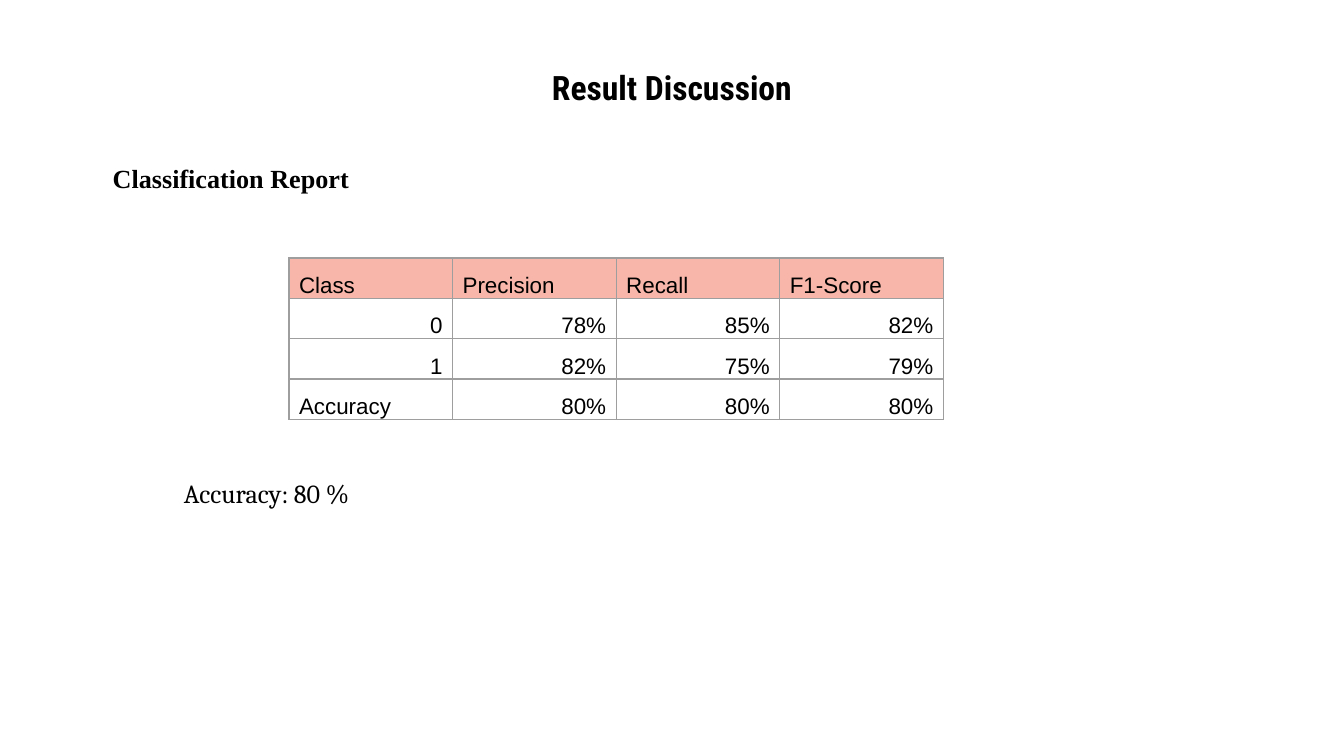
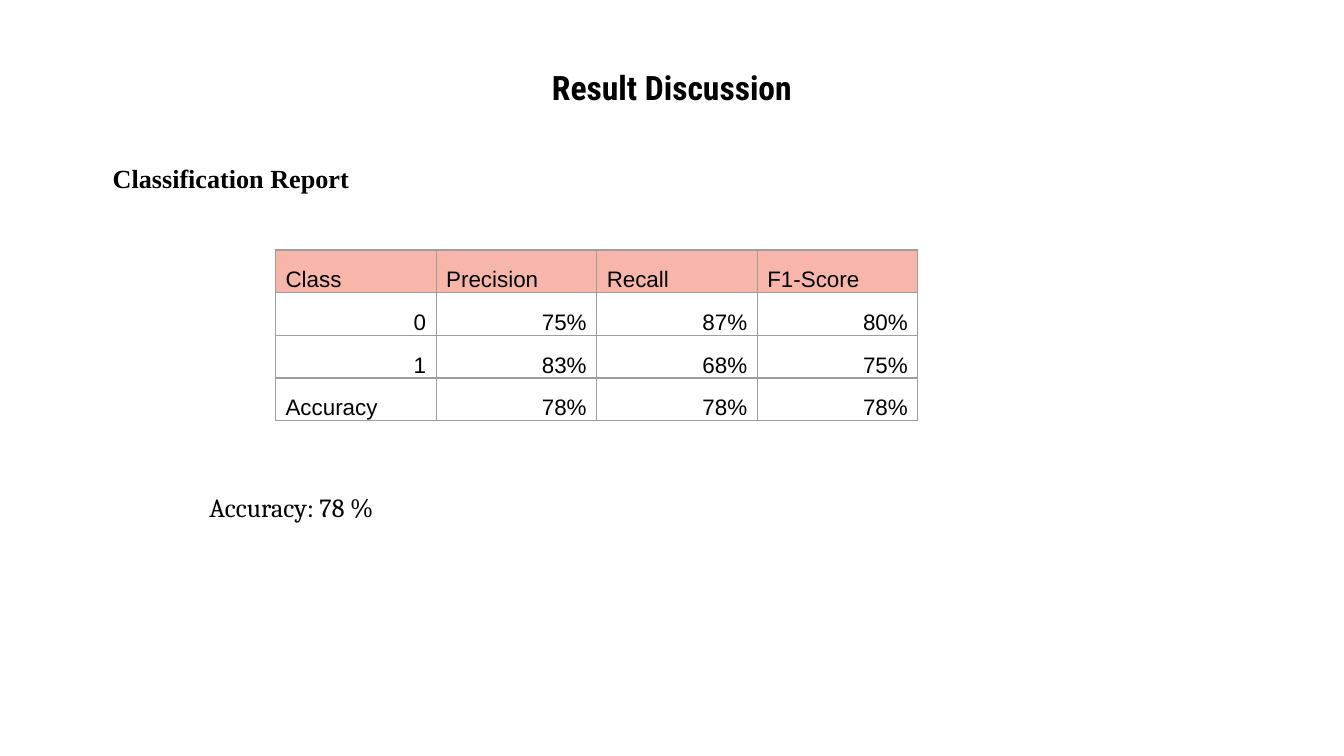
"""Build two slides that report classification results as tables."""
from dataclasses import dataclass

from lxml import etree
from pptx import Presentation
from pptx.dml.color import RGBColor
from pptx.enum.text import MSO_ANCHOR, MSO_AUTO_SIZE, PP_ALIGN
from pptx.oxml.ns import qn
from pptx.util import Pt

LEFT, CENTER, RIGHT = PP_ALIGN.LEFT, PP_ALIGN.CENTER, PP_ALIGN.RIGHT
TOP, MIDDLE, BOTTOM = MSO_ANCHOR.TOP, MSO_ANCHOR.MIDDLE, MSO_ANCHOR.BOTTOM
GROW, FIXED = MSO_AUTO_SIZE.SHAPE_TO_FIT_TEXT, MSO_AUTO_SIZE.NONE

EMU_PER_PX = 4572
SLIDE_SIZE = (2000, 1125)
BLANK_LAYOUT = 6
HEADERS = ("Class", "Precision", "Recall", "F1-Score")


@dataclass(frozen=True)
class TextStyle:
    """Typeface, size in points and weight of a piece of text."""
    font: str
    size: int
    bold: bool = False


@dataclass(frozen=True)
class Theme:
    """Colours and type styles shared by the slides."""
    background: str = "FFFFFF"
    text: str = "000000"
    header_fill: str = "F7B6A9"
    border: str = "9E9E9E"
    border_points: float = 0.75
    title: TextStyle = TextStyle("Roboto Condensed", 18, True)
    heading: TextStyle = TextStyle("Times New Roman", 14, True)
    summary: TextStyle = TextStyle("Cambria", 14)
    table: TextStyle = TextStyle("Arial", 12)


@dataclass(frozen=True)
class Report:
    """Scores of one model with the places of its table and summary."""
    rows: tuple
    table_box: tuple
    summary: str
    summary_box: tuple


THEME = Theme()
REPORTS = (
    Report(
        (("0", "78%", "85%", "82%"),
         ("1", "82%", "75%", "79%"),
         ("Accuracy", "80%", "80%", "80%")),
        (430, 384, 974, 240), "Accuracy: 80 %", (254, 701, 300, 114)),
    Report(
        (("0", "75%", "87%", "80%"),
         ("1", "83%", "68%", "75%"),
         ("Accuracy", "78%", "78%", "78%")),
        (410, 372, 956, 254), "Accuracy: 78 %", (292, 722, 300, 114)),
)


def px(length):
    """Turn a length in px into EMU."""
    return length * EMU_PER_PX


def scale(box):
    """Turn a box of px into EMU."""
    return [px(length) for length in box]


def format_paragraph(paragraph, style, align=LEFT, line_spacing=1.0):
    """Apply a text style, alignment and line spacing to a paragraph."""
    paragraph.alignment = align
    paragraph.line_spacing = line_spacing
    for run in paragraph.runs:
        run.font.name = style.font
        run.font.size = Pt(style.size)
        run.font.bold = style.bold
        run.font.color.rgb = RGBColor.from_string(THEME.text)


def add_text(slide, text, box, style):
    """Add a growing text box and return its text frame."""
    text_frame = slide.shapes.add_textbox(*scale(box)).text_frame
    text_frame.word_wrap = True
    text_frame.auto_size = GROW
    text_frame.vertical_anchor = TOP
    text_frame.text = text
    format_paragraph(text_frame.paragraphs[0], style)
    return text_frame


def add_title(slide, text):
    """Add the centred slide title."""
    text_frame = add_text(slide, text, (100, 92, 1800, 82), THEME.title)
    text_frame.auto_size = FIXED
    text_frame.vertical_anchor = MIDDLE
    text_frame.margin_top = text_frame.margin_bottom = px(20)
    text_frame.margin_left = text_frame.margin_right = px(20)
    format_paragraph(text_frame.paragraphs[0], THEME.title, CENTER, 0.9)


def add_borders(cell):
    """Draw a thin line on each side of a table cell."""
    properties = cell._tc.get_or_add_tcPr()
    for side in ("lnL", "lnR", "lnT", "lnB"):
        line = etree.SubElement(properties, qn(f"a:{side}"),
                                w=str(Pt(THEME.border_points)))
        fill = etree.SubElement(line, qn("a:solidFill"))
        etree.SubElement(fill, qn("a:srgbClr"), val=THEME.border)


def fill_cell(cell, text, is_header):
    """Write and format one table cell."""
    cell.text = text
    cell.vertical_anchor = BOTTOM
    cell.margin_left = cell.margin_right = px(15)
    cell.margin_top = cell.margin_bottom = 0
    align = RIGHT if text[0].isdigit() else LEFT
    format_paragraph(cell.text_frame.paragraphs[0], THEME.table, align, 1.07)
    add_borders(cell)
    if is_header:
        cell.fill.solid()
        cell.fill.fore_color.rgb = RGBColor.from_string(THEME.header_fill)
    else:
        cell.fill.background()


def add_score_table(slide, rows, box):
    """Add the table of scores under its header row."""
    contents = (HEADERS, *rows)
    table = slide.shapes.add_table(
        len(contents), len(HEADERS), *scale(box)).table
    table.first_row = table.horz_banding = False
    for row_index, texts in enumerate(contents):
        for column_index, text in enumerate(texts):
            fill_cell(table.cell(row_index, column_index), text,
                      row_index == 0)


def add_report_slide(presentation, report):
    """Add one slide with title, heading, summary and score table."""
    slide = presentation.slides.add_slide(
        presentation.slide_layouts[BLANK_LAYOUT])
    slide.background.fill.solid()
    slide.background.fill.fore_color.rgb = RGBColor.from_string(
        THEME.background)
    add_title(slide, "Result Discussion")
    add_text(slide, "Classification Report", (148, 232, 692, 114),
             THEME.heading)
    add_text(slide, report.summary, report.summary_box, THEME.summary)
    add_score_table(slide, report.rows, report.table_box)


def main():
    """Build and save the presentation."""
    presentation = Presentation()
    presentation.slide_width, presentation.slide_height = scale(SLIDE_SIZE)
    for report in REPORTS:
        add_report_slide(presentation, report)
    presentation.save("out.pptx")


if __name__ == "__main__":
    main()
